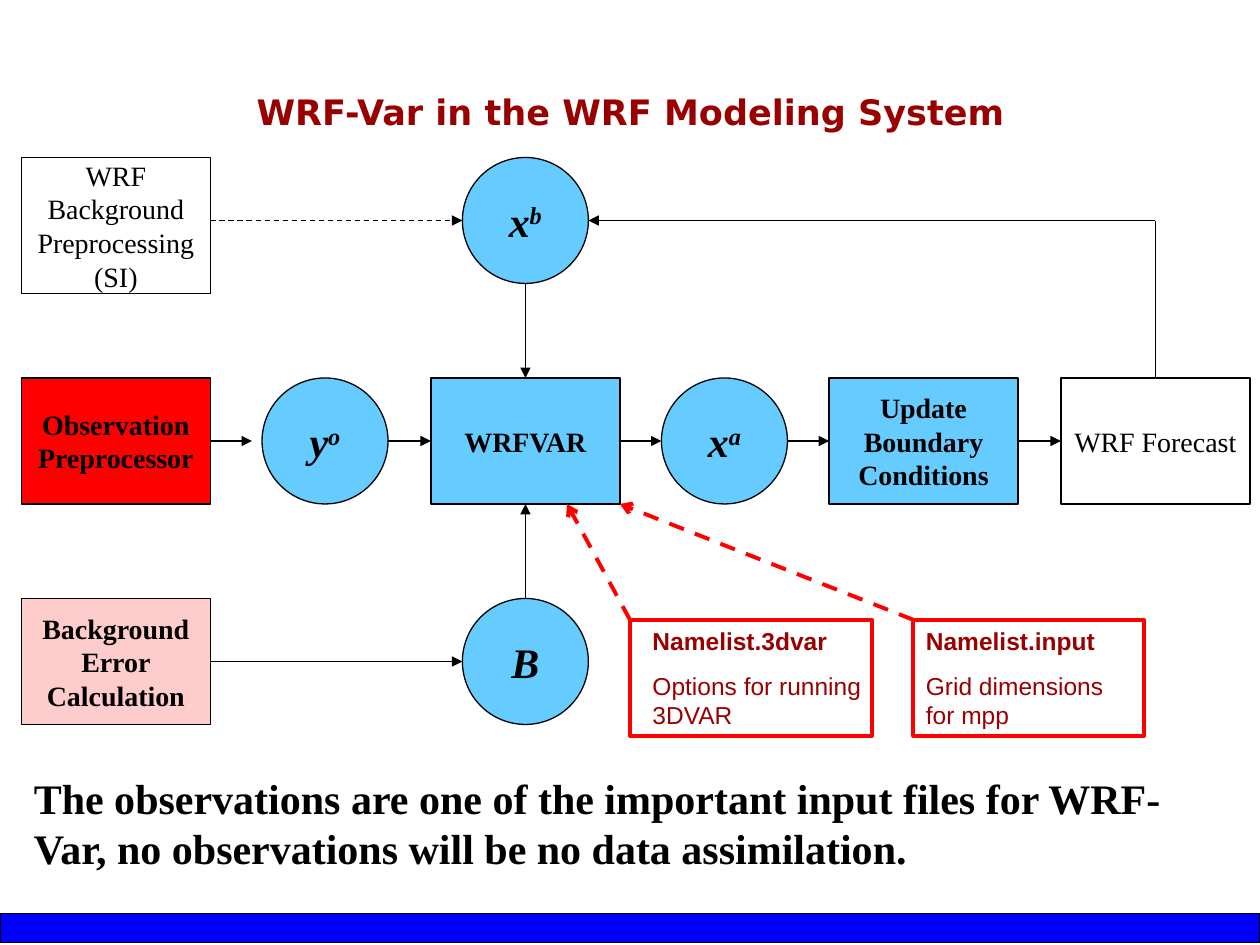
import pptx
import pptx.util
import pptx.dml.color
import pptx.enum.dml
import pptx.enum.shapes
import pptx.enum.text
import pptx.oxml.ns
from lxml import etree

Inches, Pt = pptx.util.Inches, pptx.util.Pt
SHAPE = pptx.enum.shapes.MSO_SHAPE
ALIGN = pptx.enum.text.PP_ALIGN
ANCHOR = pptx.enum.text.MSO_ANCHOR

COLORS = {"black": "000000", "sky": "66CCFF", "red": "FF0000", "pink": "FFCCCC",
          "maroon": "990000", "blue": "0000FF"}
SERIF, SANS, TITLE_FONT = "Times New Roman", "Arial", "DejaVu Sans"

TITLE = "WRF-Var in the WRF Modeling System"
CONCLUSION = ("The observations are one of the important input files for WRF-Var, "
              "no observations will be no data assimilation.")

BOX_WIDTH, ROW_HEIGHT = 1.5, 1
TOP_ROW, MIDDLE_ROW, BOTTOM_ROW = 1.25, 3, 4.75
# lines, left, top, height, fill, bold
PROCESSES = [
    (["WRF", "Background", "Preprocessing", "(SI)"], 0.17, TOP_ROW, 1.08, None, False),
    (["Observation", "Preprocessor"], 0.17, MIDDLE_ROW, ROW_HEIGHT, "red", True),
    (["Background", "Error", "Calculation"], 0.17, BOTTOM_ROW, ROW_HEIGHT, "pink", True),
    (["WRFVAR"], 3.42, MIDDLE_ROW, ROW_HEIGHT, "sky", True),
    (["Update", "Boundary", "Conditions"], 6.58, MIDDLE_ROW, ROW_HEIGHT, "sky", True),
    (["WRF Forecast"], 8.42, MIDDLE_ROW, ROW_HEIGHT, None, False),
]
# symbol, superscript, left, top
VARIABLES = [
    ("x", "b", 3.67, TOP_ROW),
    ("y", "o", 2.08, MIDDLE_ROW),
    ("x", "a", 5.25, MIDDLE_ROW),
    ("B", "", 3.67, BOTTOM_ROW),
]
TOP_FLOW, MIDDLE_FLOW, BOTTOM_FLOW = 1.75, 3.5, 5.25
MIDDLE_GAPS = [(1.67, 2), (3.08, 3.42), (4.92, 5.25), (6.25, 6.58), (8.08, 8.42)]
FLOWS = [((start, MIDDLE_FLOW), (end, MIDDLE_FLOW)) for start, end in MIDDLE_GAPS] + [
    ((1.67, BOTTOM_FLOW), (3.67, BOTTOM_FLOW)),
    ((4.17, 2.25), (4.17, 3)),
    ((4.17, 4.75), (4.17, 4)),
    ((9.17, TOP_FLOW), (4.67, TOP_FLOW)),
]
NOTE_TOP, NOTE_HEIGHT = 4.92, 0.92
# heading, detail, frame left, frame width, text left, text width, arrow target
NOTES = [
    ("Namelist.3dvar", "Options for running 3DVAR", 5, 1.92, 5.08, 2.17, (4.5, 4)),
    ("Namelist.input", "Grid dimensions for mpp", 7.25, 1.83, 7.25, 1.83, (4.92, 4)),
]


def rgb(name):
    return pptx.dml.color.RGBColor.from_string(COLORS[name])


def add_text(para, text, size=16, font=SERIF, color="black", bold=False, italic=False,
             superscript=False, align=None, before=0):
    """Append a formatted span to a paragraph."""
    span = para.add_run()
    span.text = text
    span.font.size = Pt(size)
    span.font.name = font
    span.font.color.rgb = rgb(color)
    span.font.bold = bold
    span.font.italic = italic
    if superscript:
        span.font._element.set("baseline", "30000")
    if align is not None:
        para.alignment = align
    para.space_before = Pt(before)


def add_box(slide, kind, left, top, width, height, fill=None, line="black", weight=0.75):
    box = slide.shapes.add_shape(kind, Inches(left), Inches(top), Inches(width), Inches(height))
    box.shadow.inherit = False
    if fill:
        box.fill.solid()
        box.fill.fore_color.rgb = rgb(fill)
    else:
        box.fill.background()
    box.line.color.rgb = rgb(line)
    box.line.width = Pt(weight)
    box.text_frame.word_wrap = False
    box.text_frame.vertical_anchor = ANCHOR.MIDDLE
    return box


def add_text_box(slide, left, top, width, height):
    box = slide.shapes.add_textbox(Inches(left), Inches(top), Inches(width), Inches(height))
    box.text_frame.word_wrap = True
    return box.text_frame


def add_line(slide, start, end, color="black", weight=0.75, dashed=False, head="triangle"):
    line = slide.shapes.add_connector(pptx.enum.shapes.MSO_CONNECTOR.STRAIGHT,
                                      *[Inches(value) for value in (*start, *end)])
    line.line.color.rgb = rgb(color)
    line.line.width = Pt(weight)
    if dashed:
        line.line.dash_style = pptx.enum.dml.MSO_LINE.DASH
    qn = pptx.oxml.ns.qn
    if head:
        etree.SubElement(line.line._get_or_add_ln(), qn("a:tailEnd"), type=head)
    etree.SubElement(line._element.spPr, qn("a:effectLst"))


def add_title(slide):
    title = slide.shapes.title
    title.left, title.top = Inches(1.17), Inches(0.67)
    title.width, title.height = Inches(7.67), Inches(0.44)
    title.text_frame.auto_size = pptx.enum.text.MSO_AUTO_SIZE.NONE
    title.text_frame.vertical_anchor = ANCHOR.TOP
    add_text(title.text_frame.paragraphs[0], TITLE, size=20, font=TITLE_FONT,
             color="maroon", bold=True, align=ALIGN.CENTER)


def add_diagram(slide):
    for lines, left, top, height, fill, bold in PROCESSES:
        box = add_box(slide, SHAPE.FLOWCHART_PROCESS, left, top, BOX_WIDTH, height, fill)
        frame = box.text_frame
        for index, text in enumerate(lines):
            para = frame.add_paragraph() if index else frame.paragraphs[0]
            add_text(para, text, bold=bold, align=ALIGN.CENTER)

    for symbol, superscript, left, top in VARIABLES:
        circle = add_box(slide, SHAPE.OVAL, left, top, ROW_HEIGHT, ROW_HEIGHT, "sky")
        para = circle.text_frame.paragraphs[0]
        style = dict(size=24, bold=True, italic=True, align=ALIGN.CENTER)
        add_text(para, symbol, **style)
        if superscript:
            add_text(para, superscript, superscript=True, **style)

    for start, end in FLOWS:
        add_line(slide, start, end)
    add_line(slide, (1.67, TOP_FLOW), (3.67, TOP_FLOW), dashed=True)
    add_line(slide, (9.17, MIDDLE_ROW), (9.17, TOP_FLOW), head=None)


def add_notes(slide):
    """Add the framed namelist remarks and their dashed arrows."""
    for heading, detail, left, width, text_left, text_width, target in NOTES:
        add_box(slide, SHAPE.RECTANGLE, left, NOTE_TOP, width, NOTE_HEIGHT,
                line="red", weight=2.25)
        frame = add_text_box(slide, text_left, NOTE_TOP, text_width, NOTE_HEIGHT)
        style = dict(size=14, font=SANS, color="maroon")
        add_text(frame.paragraphs[0], heading, bold=True, **style)
        add_text(frame.add_paragraph(), detail, before=8.8, **style)
        add_line(slide, (left, NOTE_TOP), target, color="red", weight=2.25,
                 dashed=True, head="arrow")


def main():
    deck = pptx.Presentation()
    deck.slide_width, deck.slide_height = Inches(10), Inches(7.5)
    slide = deck.slides.add_slide(deck.slide_layouts[5])
    add_box(slide, SHAPE.RECTANGLE, 0, 7.25, 10, 0.23, "blue", weight=1)
    add_title(slide)
    add_diagram(slide)
    add_notes(slide)
    conclusion = add_text_box(slide, 0.17, 6.08, 9.67, 0.9)
    add_text(conclusion.paragraphs[0], CONCLUSION, size=24, bold=True)
    deck.save("out.pptx")


if __name__ == "__main__":
    main()
